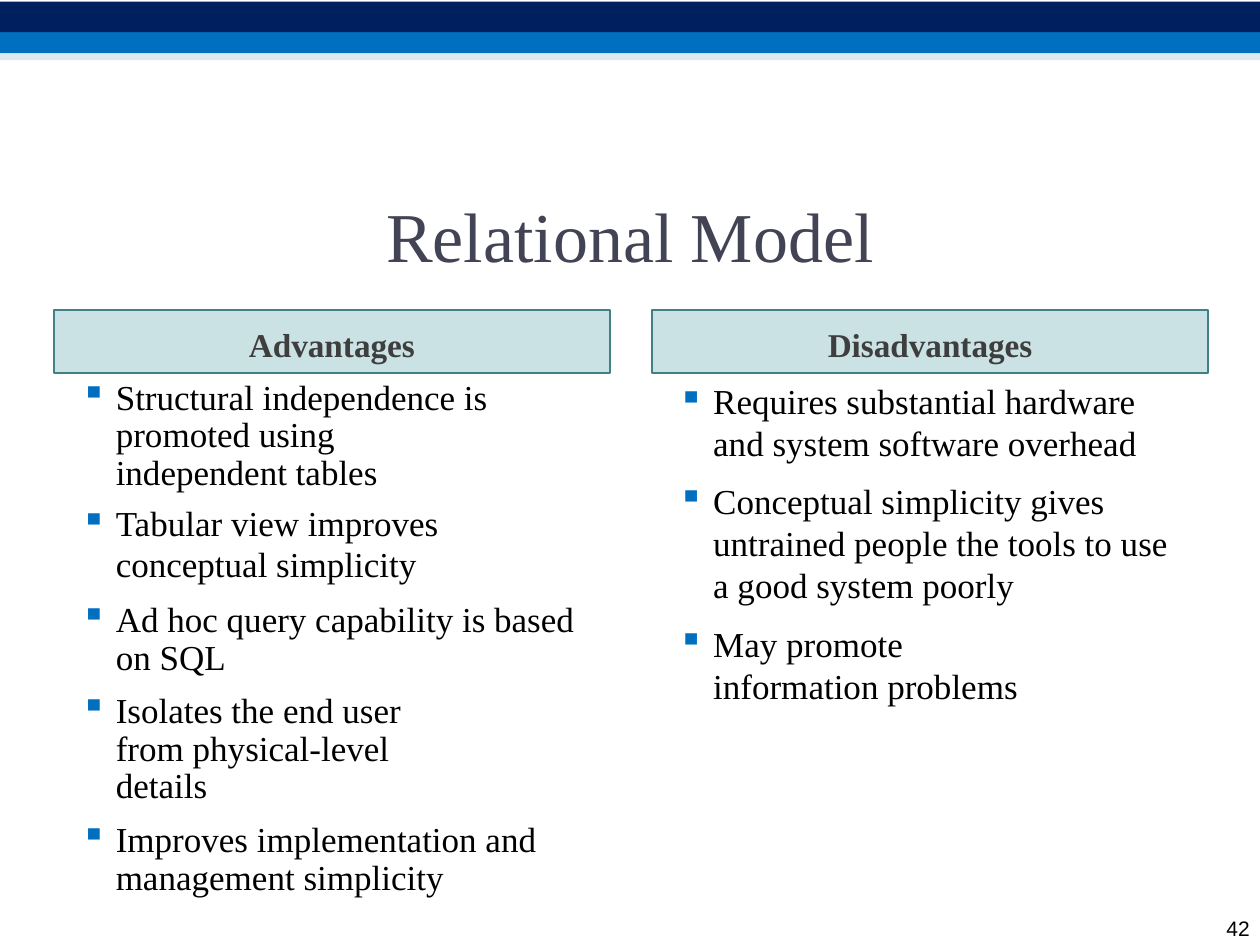
from lxml import etree
from pptx import Presentation
from pptx.dml.color import RGBColor
from pptx.enum import shapes, text
from pptx.oxml import ns
from pptx.util import Pt

NAVY = RGBColor(0x00, 0x1F, 0x5F)
BLUE = RGBColor(0x00, 0x6F, 0xC0)
PALE = RGBColor(0xBD, 0xD2, 0xE0)
TEAL = RGBColor(0x31, 0x8E, 0x96)
EDGE = RGBColor(0x43, 0x80, 0x85)
SLATE = RGBColor(0x42, 0x44, 0x55)
GREY = RGBColor(0x3E, 0x3E, 0x3E)
BLACK = RGBColor(0, 0, 0)
SERIF = "Times New Roman"
INDENT = 20.75

PROS = [
    ("Structural independence is promoted using independent tables", 0, 21.6, 43, True),
    ("Tabular view improves", 6.4, 22.9, 0, True),
    ("conceptual simplicity", 0, 22.9, 0, False),
    ("Ad hoc query capability is based on SQL", 10, 21.6, 0, True),
    ("Isolates the end user from physical-level details", 8.8, 21.6, 83, True),
    ("Improves implementation and management simplicity", 8.9, 21.6, 0, True),
]
CONS = [
    ("Requires substantial hardware and system software overhead", 0, 24, 0, True),
    ("Conceptual simplicity gives untrained people the tools to use a good system poorly",
     8.9, 24, 0, True),
    ("May promote information problems", 9.8, 24, 74, True),
]


def add_node(parent, tag, **attrs):
    return etree.SubElement(parent, ns.qn(tag), attrs)


def set_font(para, name, size, color, bold=False):
    font = para.font
    font.name, font.size, font.bold = name, Pt(size), bold
    font.color.rgb = color


def set_frame(frame, top=0):
    frame.word_wrap = True
    frame.margin_left = frame.margin_right = frame.margin_bottom = 0
    frame.margin_top = Pt(top)


def add_rect(slide, box, color, alpha=100):
    rect = slide.shapes.add_shape(shapes.MSO_SHAPE.RECTANGLE, *map(Pt, box))
    rect.shadow.inherit = False
    rect.fill.solid()
    rect.fill.fore_color.rgb = color
    rect.line.fill.background()
    if alpha < 100:
        tint = rect.fill._xPr.find(".//" + ns.qn("a:srgbClr"))
        add_node(tint, "a:alpha", val=str(alpha * 1000))
    return rect


def add_text(slide, box, words, name, size, color, align):
    frame = slide.shapes.add_textbox(*map(Pt, box)).text_frame
    set_frame(frame)
    para = frame.paragraphs[0]
    para.text, para.alignment = words, align
    set_font(para, name, size, color)


def add_head(slide, left, words):
    rect = add_rect(slide, (left, 177.1, 318, 36), TEAL, 25)
    rect.line.color.rgb = EDGE
    rect.line.width = Pt(1)
    frame = rect.text_frame
    set_frame(frame, 3)
    frame.vertical_anchor = text.MSO_ANCHOR.MIDDLE
    para = frame.paragraphs[0]
    para.text, para.alignment = words, text.PP_ALIGN.CENTER
    set_font(para, SERIF, 19, GREY, True)


def add_list(slide, box, items):
    frame = slide.shapes.add_textbox(*map(Pt, box)).text_frame
    set_frame(frame)
    for i, (words, gap, pitch, right, mark) in enumerate(items):
        para = frame.add_paragraph() if i else frame.paragraphs[0]
        para.text = words
        para.line_spacing = Pt(pitch)
        para.space_before = Pt(gap)
        props = para._p.get_or_add_pPr()
        props.set("marL", str(Pt(INDENT)))
        props.set("marR", str(Pt(right)))
        props.set("indent", str(Pt(-20) if mark else 0))
        if mark:
            add_node(add_node(props, "a:buClr"), "a:srgbClr", val=str(BLUE))
            add_node(props, "a:buChar", char="▪")
        set_font(para, SERIF, 20, BLACK)


def main():
    deck = Presentation()
    deck.slide_width, deck.slide_height = Pt(720), Pt(540)
    slide = deck.slides.add_slide(deck.slide_layouts[6])
    add_rect(slide, (0, 18.4, 720, 12), BLUE)
    add_rect(slide, (0, 0.9, 720, 17.5), NAVY)
    add_rect(slide, (0, 30.4, 720, 4), PALE, 50)
    add_text(slide, (210, 110, 300, 50), "Relational Model", SERIF, 40, SLATE,
             text.PP_ALIGN.CENTER)
    add_list(slide, (45.4, 216.7, 286, 275), PROS)
    add_list(slide, (386.8, 217, 287, 188), CONS)
    add_head(slide, 30.7, "Advantages")
    add_head(slide, 372.5, "Disadvantages")
    add_text(slide, (697.7, 523, 16.5, 15), "42", "Arial", 12, BLACK,
             text.PP_ALIGN.RIGHT)
    deck.save("out.pptx")


if __name__ == "__main__":
    main()
